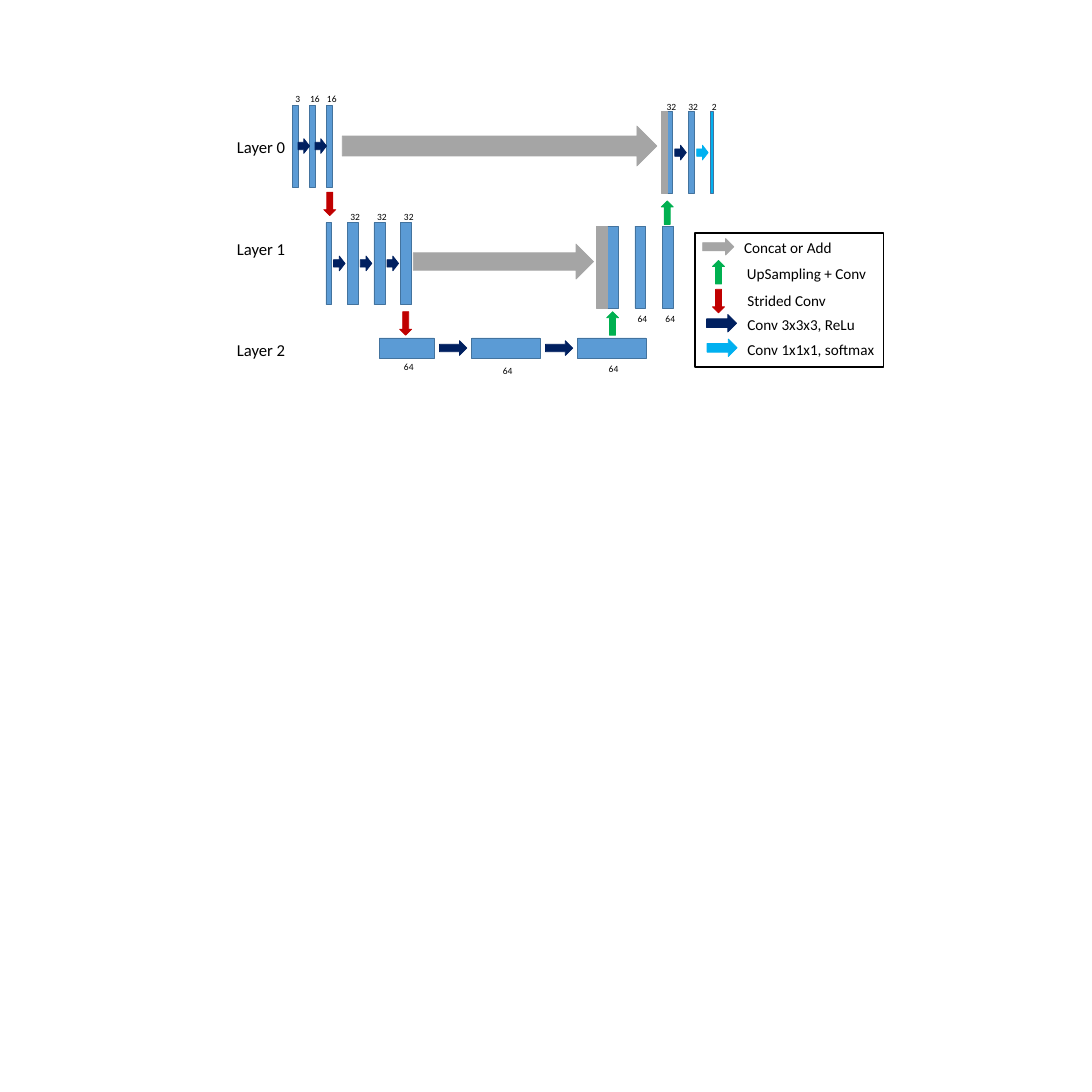
from pptx import Presentation
from pptx import util as u
from pptx.dml import color
from pptx.enum import shapes, text

PX = 9144
FONT = "Calibri"
BLUE, EDGE, GRAY, BLACK = "5B9BD5", "43739E", "A5A5A5", "000000"
NAVY, CYAN, RED, GREEN = "002060", "00B0F0", "C00000", "00B050"
RECT = shapes.MSO_SHAPE.RECTANGLE
RIGHT = shapes.MSO_SHAPE.RIGHT_ARROW
DOWN = shapes.MSO_SHAPE.DOWN_ARROW
UP = shapes.MSO_SHAPE.UP_ARROW


def rgb(value):
    """Turn a hex string into a colour."""
    return color.RGBColor.from_string(value)


def add_figure(s, kind, x, y, w, h, fill, line, weight=1):
    """Add a preset shape; a fill of None leaves it hollow."""
    sp = s.shapes.add_shape(kind, x * PX, y * PX, w * PX, h * PX)
    sp.shadow.inherit = False
    if fill:
        sp.fill.solid()
        sp.fill.fore_color.rgb = rgb(fill)
    else:
        sp.fill.background()
    sp.line.color.rgb = rgb(line)
    sp.line.width = u.Pt(weight)


def add_slab(s, x, y, w, h=150, fill=BLUE, line=EDGE):
    """Add one feature map."""
    add_figure(s, RECT, x, y, w, h, fill, line)


def add_arrow(s, kind, x, y, w, h, fill):
    """Add an arrow whose outline matches its fill."""
    add_figure(s, kind, x, y, w, h, fill, fill)


def add_step(s, x, y, fill=NAVY):
    """Add a short convolution arrow."""
    add_arrow(s, RIGHT, x, y, 21, 27, fill)


def add_jump(s, kind, x, y, fill):
    """Add a vertical arrow that changes resolution."""
    add_arrow(s, kind, x, y, 22, 43, fill)


def add_text(s, words, x, y, w, h, size):
    """Add a one-line text box."""
    tf = s.shapes.add_textbox(x * PX, y * PX, w * PX, h * PX).text_frame
    tf.word_wrap = False
    tf.auto_size = text.MSO_AUTO_SIZE.SHAPE_TO_FIT_TEXT
    r = tf.paragraphs[0].add_run()
    r.text = words
    r.font.name = FONT
    r.font.size = u.Pt(size)
    r.font.color.rgb = rgb(BLACK)


def add_count(s, words, x, y):
    """Add a channel count."""
    add_text(s, words, x, y, 20 + 9 * len(words), 31, 12.5)


def add_encoder(s):
    """Draw the contracting side and the skip arrows."""
    for i, (words, x) in enumerate((("3", 531), ("16", 558), ("16", 589))):
        add_slab(s, 536 + 31 * i, 193, 10)
        add_count(s, words, x, 166)
    for i in range(2):
        add_step(s, 546 + 31 * i, 254)
    add_jump(s, DOWN, 593, 352, RED)
    add_slab(s, 597, 408, 10)
    for i in range(3):
        add_step(s, 611 + 49 * i, 469)
        add_slab(s, 636 + 49 * i, 408, 20)
        add_count(s, "32", 632 + 49 * i, 381)
    add_jump(s, DOWN, 732, 571, RED)
    add_arrow(s, RIGHT, 627, 231, 576, 73, GRAY)
    add_arrow(s, RIGHT, 757, 447, 330, 64, GRAY)


def add_bottom(s):
    """Draw the lowest layer."""
    for x, w, count_x, count_y in ((695, 100, 730, 656), (864, 125, 911, 664),
                                   (1058, 125, 1105, 660)):
        add_slab(s, x, 619, w, 38)
        add_count(s, "64", count_x, count_y)
    for x in (805, 999):
        add_arrow(s, RIGHT, x, 624, 50, 27, NAVY)


def add_decoder(s):
    """Draw the expanding side."""
    add_jump(s, UP, 1111, 571, GREEN)
    for i in range(3):
        add_slab(s, 1112 + 51 * i, 414, 20)
    add_slab(s, 1092, 414, 20, fill=GRAY, line=GRAY)
    for x in (1158, 1209):
        add_count(s, "64", x, 569)
    add_jump(s, UP, 1211, 368, GREEN)
    for x, w, fill in ((1222, 10, BLUE), (1261, 10, BLUE), (1301, 5, CYAN)):
        add_slab(s, x, 204, w, fill=fill)
    add_slab(s, 1212, 204, 10, fill=GRAY, line=GRAY)
    add_step(s, 1236, 266)
    add_step(s, 1276, 266, CYAN)
    for words, x in (("32", 1211), ("32", 1251), ("2", 1294)):
        add_count(s, words, x, 180)


def add_legend(s):
    """Draw the key to the arrows."""
    rows = (
        (RIGHT, 1287, 437, 57, 30, GRAY, "Concat or Add", 1353, 431, 182),
        (UP, 1305, 477, 22, 43, GREEN, "UpSampling + Conv", 1358, 479, 241),
        (DOWN, 1305, 530, 22, 43, RED, "Strided Conv", 1359, 528, 165),
        (RIGHT, 1294, 576, 55, 32, NAVY, "Conv 3x3x3, ReLu", 1359, 572, 218),
        (RIGHT, 1295, 621, 55, 32, CYAN, "Conv 1x1x1, softmax", 1359, 618, 255),
    )
    for kind, x, y, w, h, fill, words, text_x, text_y, text_w in rows:
        add_arrow(s, kind, x, y, w, h, fill)
        add_text(s, words, text_x, text_y, text_w, 44, 20)
    add_figure(s, RECT, 1273, 427, 345, 245, None, BLACK, 2)


def main():
    """Build the slide and save it."""
    prs = Presentation()
    prs.slide_width = prs.slide_height = 2000 * PX
    s = prs.slides.add_slide(prs.slide_layouts[6])
    add_encoder(s)
    add_bottom(s)
    add_decoder(s)
    add_legend(s)
    for i in range(3):
        add_text(s, f"Layer {i}", 424, 246 + 186 * i, 110, 47, 22)
    prs.save("out.pptx")


if __name__ == "__main__":
    main()
